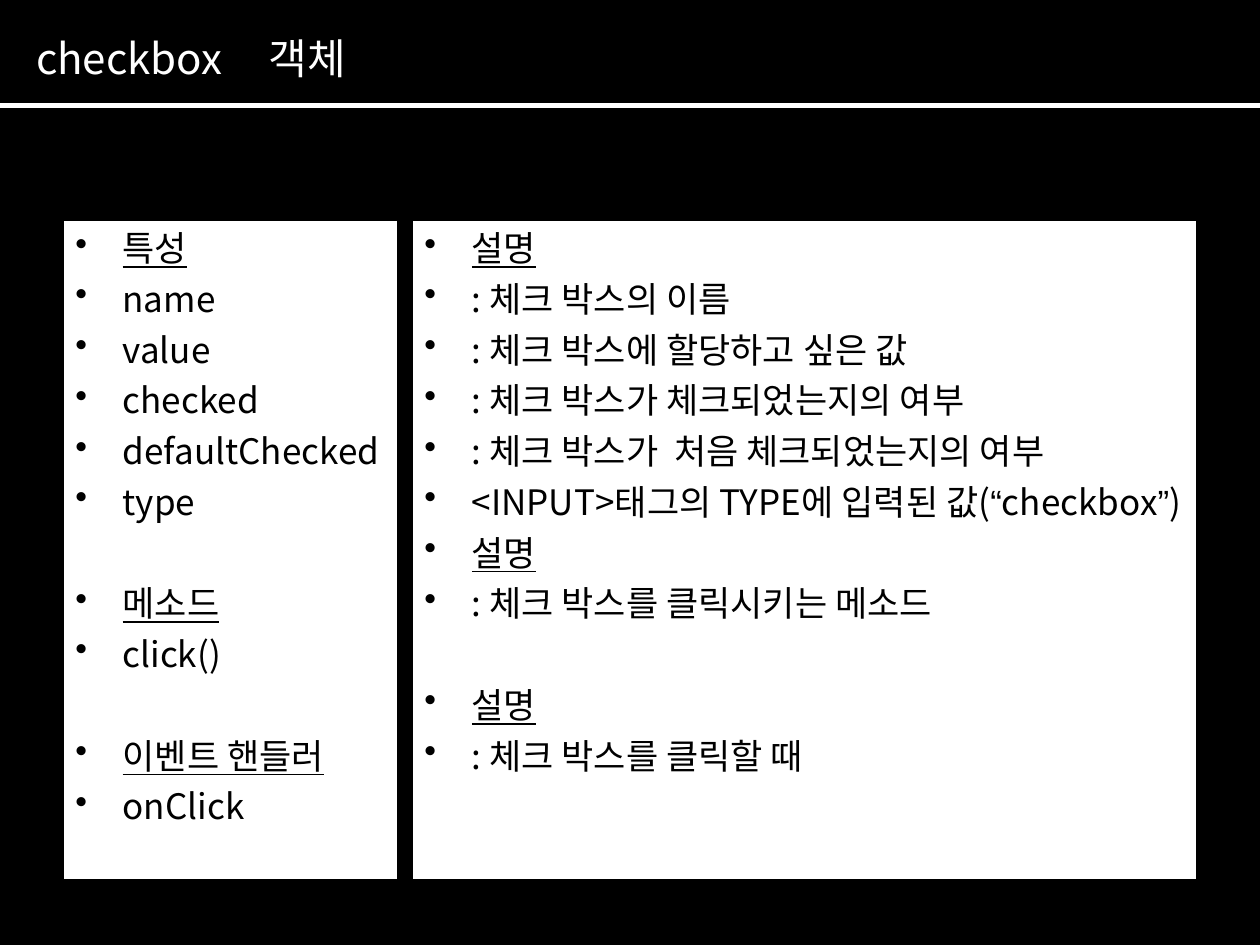
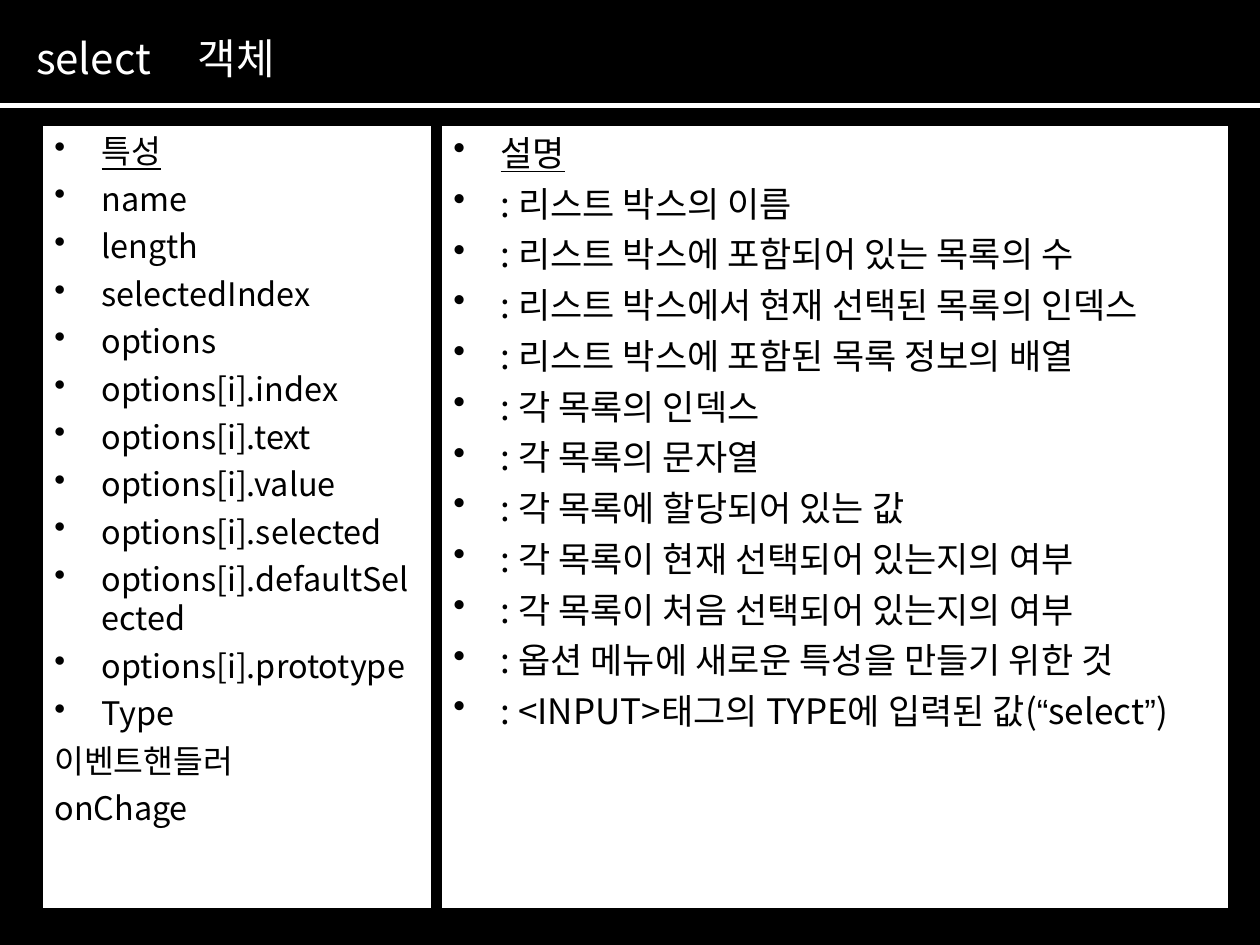
from dataclasses import dataclass
from itertools import groupby

from lxml import etree
from pptx import Presentation, util as u
from pptx.dml.color import RGBColor
from pptx.enum import shapes, text
from pptx.oxml import ns

Pt = u.Pt


@dataclass(frozen=True)
class Theme:
    dark: str = "000000"
    light: str = "FFFFFF"
    font: str = "Noto Sans CJK KR"
    quote_font: str = "Arial"
    title_size: float = 24
    body_size: float = 20
    compact_size: float = 18.5
    leading: float = 1.2
    item_gap: float = 5
    indent: float = 27


@dataclass(frozen=True)
class Item:
    text: str
    heading: bool = False
    bullet: bool = True
    blank_line_before: bool = False


def heading(label, blank_line_before=False):
    return Item(label, heading=True, blank_line_before=blank_line_before)


def items(*labels):
    return [Item(label) for label in labels]


class Deck:
    """Holds the theme and the current slide."""

    def __init__(self, theme):
        self.theme = theme
        self.presentation = Presentation()
        self.presentation.slide_width = Pt(720)
        self.presentation.slide_height = Pt(540)
        self.paint(self.presentation.slide_master.background.fill, theme.dark)
        self.slide = None

    @staticmethod
    def paint(fill, color):
        fill.solid()
        fill.fore_color.rgb = RGBColor.from_string(color)

    @staticmethod
    def add_xml(parent, tag, **attributes):
        return etree.SubElement(parent, ns.qn(tag), attributes)

    def new_slide(self, name, noun, noun_left):
        layout = self.presentation.slide_layouts[6]
        self.slide = self.presentation.slides.add_slide(layout)
        self.title(name, noun, noun_left)
        self.rule()

    def format_run(self, run, size, color, font=None):
        run.font.name = font or self.theme.font
        run.font.size = Pt(size)
        run.font.color.rgb = RGBColor.from_string(color)
        self.add_xml(run.font._element, "a:ea", typeface=run.font.name)

    def title(self, name, noun, noun_left):
        box = self.slide.shapes.add_textbox(Pt(13.5), Pt(15), Pt(550), Pt(36))
        box.text_frame.word_wrap = True
        paragraph = box.text_frame.paragraphs[0]
        paragraph.text = f"{name}\t{noun}"
        paragraph.line_spacing = Pt(self.theme.title_size * self.theme.leading)
        tabs = self.add_xml(paragraph._p.get_or_add_pPr(), "a:tabLst")
        self.add_xml(tabs, "a:tab", pos=str(Pt(noun_left)), algn="l")
        for run in paragraph.runs:
            self.format_run(run, self.theme.title_size, self.theme.light)

    def rule(self):
        line = self.slide.shapes.add_connector(
            shapes.MSO_CONNECTOR.STRAIGHT, 0, Pt(60.5), Pt(720), Pt(60.5))
        line.line.width = Pt(3)
        line.line.color.rgb = RGBColor.from_string(self.theme.light)
        self.add_xml(line._element.spPr, "a:effectLst")

    def panel(self, left, top, width, height, entries, size=None):
        size = size or self.theme.body_size
        shape = self.slide.shapes.add_shape(
            shapes.MSO_SHAPE.RECTANGLE, Pt(left), Pt(top), Pt(width), Pt(height))
        shape.shadow.inherit = False
        self.paint(shape.fill, self.theme.light)
        shape.line.color.rgb = RGBColor.from_string(self.theme.dark)
        shape.line.width = Pt(0.75)
        frame = shape.text_frame
        frame.word_wrap = True
        frame.vertical_anchor = text.MSO_ANCHOR.TOP
        for index, entry in enumerate(entries):
            paragraph = frame.add_paragraph() if index else frame.paragraphs[0]
            self.entry(paragraph, entry, size, first=index == 0)

    def entry(self, paragraph, entry, size, first):
        theme = self.theme
        line_height = size * theme.leading
        paragraph.alignment = text.PP_ALIGN.LEFT
        paragraph.line_spacing = Pt(line_height)
        if not first:
            extra = line_height + theme.item_gap if entry.blank_line_before else 0
            paragraph.space_before = Pt(theme.item_gap + extra)
        properties = paragraph._p.get_or_add_pPr()
        properties.set("marL", str(Pt(theme.indent)))
        properties.set("indent", str(-Pt(theme.indent)))
        if entry.bullet:
            color = self.add_xml(properties, "a:buClr")
            self.add_xml(color, "a:srgbClr", val=theme.dark)
            self.add_xml(properties, "a:buChar", char="•")
        # Curly quotes take their own font
        for is_quote, characters in groupby(entry.text, lambda c: c in "“”"):
            run = paragraph.add_run()
            run.text = "".join(characters)
            self.format_run(run, size, theme.dark,
                            theme.quote_font if is_quote else None)
            run.font.underline = entry.heading


def checkbox_slide(deck):
    deck.new_slide("checkbox", "객체", noun_left=133)
    top, height = 126, 376.5
    deck.panel(36, top, 191, height, [
        heading("특성"),
        *items("name", "value", "checked", "defaultChecked", "type"),
        heading("메소드", blank_line_before=True),
        *items("click()"),
        heading("이벤트 핸들러", blank_line_before=True),
        *items("onClick"),
    ])
    deck.panel(235.5, top, 448.5, height, [
        heading("설명"),
        *items(
            ": 체크 박스의 이름",
            ": 체크 박스에 할당하고 싶은 값",
            ": 체크 박스가 체크되었는지의 여부",
            ": 체크 박스가  처음 체크되었는지의 여부",
            "<INPUT>태그의 TYPE에 입력된 값(“checkbox”)",
        ),
        heading("설명"),
        *items(": 체크 박스를 클릭시키는 메소드"),
        heading("설명", blank_line_before=True),
        *items(": 체크 박스를 클릭할 때"),
    ])


def select_slide(deck):
    deck.new_slide("select", "객체", noun_left=92.5)
    top, height = 71.5, 448
    option_fields = ("index", "text", "value", "selected",
                     "defaultSelected", "prototype")
    deck.panel(24, top, 222.5, height, [
        heading("특성"),
        *items("name", "length", "selectedIndex", "options"),
        *items(*(f"options[i].{field}" for field in option_fields)),
        *items("Type"),
        Item("이벤트핸들러", bullet=False),
        Item("onChage", bullet=False),
    ], deck.theme.compact_size)
    deck.panel(252, top, 450, height, [
        heading("설명"),
        *items(
            ": 리스트 박스의 이름",
            ": 리스트 박스에 포함되어 있는 목록의 수",
            ": 리스트 박스에서 현재 선택된 목록의 인덱스",
            ": 리스트 박스에 포함된 목록 정보의 배열",
            ": 각 목록의 인덱스",
            ": 각 목록의 문자열",
            ": 각 목록에 할당되어 있는 값",
            ": 각 목록이 현재 선택되어 있는지의 여부",
            ": 각 목록이 처음 선택되어 있는지의 여부",
            ": 옵션 메뉴에 새로운 특성을 만들기 위한 것",
            ": <INPUT>태그의 TYPE에 입력된 값(“select”)",
        ),
    ])


def main():
    deck = Deck(Theme())
    checkbox_slide(deck)
    select_slide(deck)
    deck.presentation.save("out.pptx")


if __name__ == "__main__":
    main()
